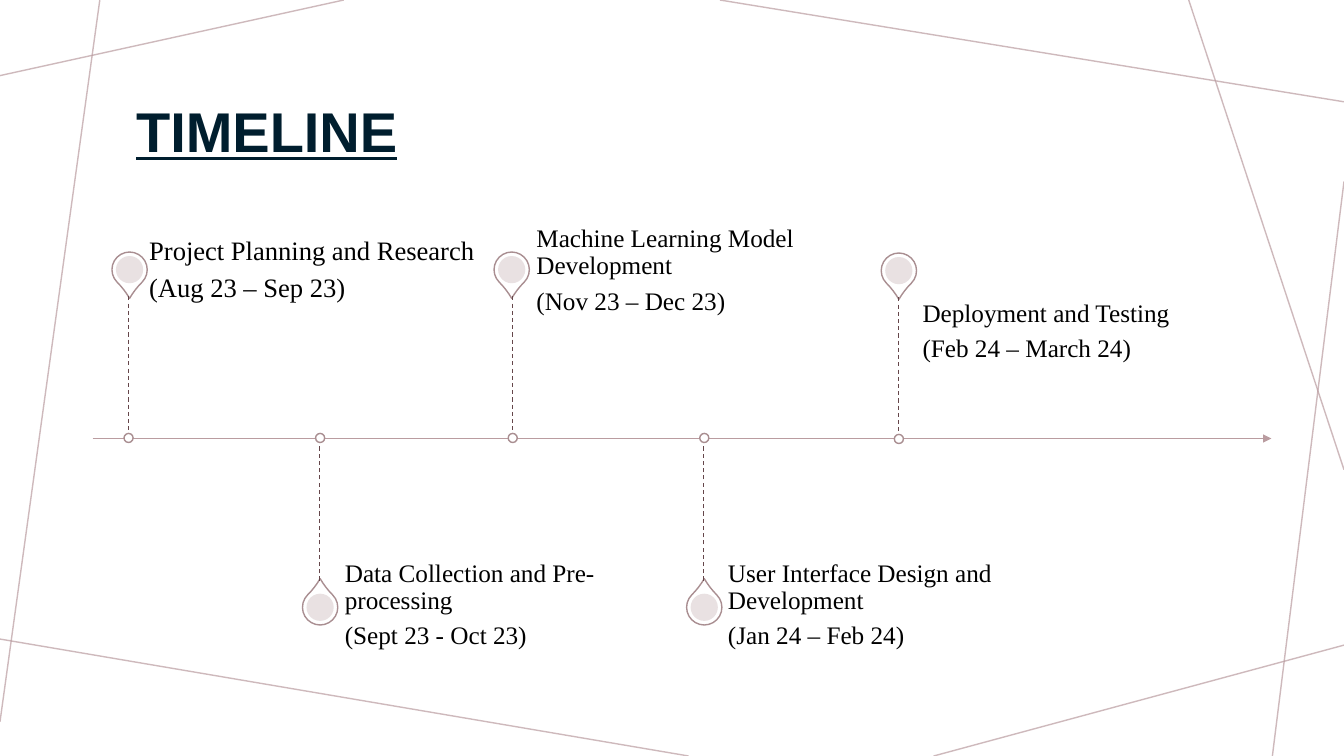
"""Build the project timeline slide."""
from lxml import etree
from pptx import Presentation
from pptx.dml.color import RGBColor
from pptx.enum.dml import MSO_LINE
from pptx.enum.shapes import MSO_CONNECTOR, MSO_SHAPE
from pptx.enum.text import MSO_ANCHOR, PP_ALIGN
from pptx.oxml.ns import qn
from pptx.util import Pt

PX = 9144
AXIS_Y = 435
STEM = 141
PIN = 35
DISC = 27
DOT = 9

RAYS = [
    (341, 0, 0, 75), (99, 0, 0, 716), (683, 750, 0, 634), (1333, 640, 926, 750),
    (1333, 180, 1262, 750), (1333, 466, 1179, 0), (1333, 101, 714, 0),
]

# stem x, axis y, pin left, above axis, label box, anchor, size, lines
MILESTONES = [
    (127, AXIS_Y, 111, True, (148, 244, 334, 49), MSO_ANCHOR.MIDDLE, 19,
     ("Project Planning and Research", "(Aug 23 – Sep 23)")),
    (317, AXIS_Y, 300, False, (342, 576, 321, 49), MSO_ANCHOR.MIDDLE, 18,
     ("Data Collection and Pre-processing", "(Sept 23 - Oct 23)")),
    (508, AXIS_Y, 490, True, (532, 244, 321, 49), MSO_ANCHOR.MIDDLE, 18,
     ("Machine Learning Model Development", "(Nov 23 – Dec 23)")),
    (698, AXIS_Y, 681, False, (722, 576, 321, 49), MSO_ANCHOR.MIDDLE, 18,
     ("User Interface Design and Development", "(Jan 24 – Feb 24)")),
    (891, AXIS_Y + 1, 874, True, (915, 298, 321, 135), MSO_ANCHOR.TOP, 18,
     ("Deployment and Testing", "(Feb 24 – March 24)")),
]


def px(*values):
    """Turn px lengths into EMU."""
    return [v * PX for v in values]


def color(hex_string):
    """Return the colour of a hex string."""
    return RGBColor.from_string(hex_string)


def set_alpha(fill, percent):
    """Set the opacity of a solid fill element."""
    etree.SubElement(fill[0], qn("a:alpha"), val=str(percent * 1000))


def add_line(s, ends, hex_string, width=1.0):
    """Draw a straight line and return it."""
    line = s.shapes.add_connector(MSO_CONNECTOR.STRAIGHT, *px(*ends))
    line.line.color.rgb = color(hex_string)
    line.line.width = Pt(width)
    etree.SubElement(line._element.spPr, qn("a:effectLst"))
    return line


def add_ray(s, ends):
    """Draw one translucent background line."""
    ray = add_line(s, ends, "BA9CA0")
    set_alpha(ray.line._ln.find(qn("a:solidFill")), 70)


def add_axis(s):
    """Draw the timeline arrow."""
    axis = add_line(s, (92, AXIS_Y, 1261, AXIS_Y), "BA9CA0")
    etree.SubElement(axis.line._ln, qn("a:tailEnd"), type="triangle")


def add_shape(s, kind, x, y, size, fill, outline=None):
    """Draw a square-framed preset shape and return it."""
    sp = s.shapes.add_shape(kind, *px(x, y, size, size))
    sp.shadow.inherit = False
    sp.fill.solid()
    sp.fill.fore_color.rgb = color(fill)
    if outline:
        sp.line.color.rgb = color(outline)
        sp.line.width = Pt(1)
    else:
        sp.line.fill.background()
    return sp


def add_pin(s, x, y, above):
    """Draw a map pin pointing at the axis."""
    pin = add_shape(s, MSO_SHAPE.TEAR, x, y, PIN, "FFFFFF", "A98E91")
    pin.adjustments[0] = 1.15
    pin.rotation = 135 if above else 315
    inset = (PIN - DISC) // 2
    disc = add_shape(s, MSO_SHAPE.OVAL, x + inset, y + inset, DISC, "E7DEDF")
    set_alpha(disc._element.spPr.find(qn("a:solidFill")), 90)


def add_run(p, text, font, size, hex_string):
    """Add a formatted run and return it."""
    r = p.add_run()
    r.text = text
    r.font.name = font
    r.font.size = Pt(size)
    r.font.color.rgb = color(hex_string)
    return r


def add_label(s, box, anchor, size, lines):
    """Write the name and the dates of a milestone."""
    tf = s.shapes.add_textbox(*px(*box)).text_frame
    tf.word_wrap = True
    tf.vertical_anchor = anchor
    tf.margin_left = tf.margin_right = tf.margin_top = tf.margin_bottom = 0
    for i, text in enumerate(lines):
        p = tf.add_paragraph() if i else tf.paragraphs[0]
        p.line_spacing = 0.9
        p.space_after = Pt(6)
        add_run(p, text, "Times New Roman", size, "000000")


def add_milestone(s, x, y, pin_x, above, box, anchor, size, lines):
    """Draw one milestone with its pin, label, stem and dot."""
    add_pin(s, pin_x, y - STEM - 44 if above else y + STEM + 9, above)
    add_label(s, box, anchor, size, lines)
    end = y - STEM if above else y + STEM
    stem = add_line(s, (x, end, x, y), "65464A", 0.75)
    stem.line.dash_style = MSO_LINE.DASH
    add_shape(s, MSO_SHAPE.OVAL, x - 4, y - 5, DOT, "FFFFFF", "A98E91")


def add_title(s, text):
    """Fill and place the title placeholder."""
    sp = s.shapes.title
    sp.left, sp.top, sp.width, sp.height = px(125, 58, 1083, 151)
    tf = sp.text_frame
    tf.vertical_anchor = MSO_ANCHOR.MIDDLE
    p = tf.paragraphs[0]
    p.alignment = PP_ALIGN.LEFT
    p.line_spacing = 0.9
    r = add_run(p, text, "Arial", 40, "001E2E")
    r.font.bold = True
    r.font.underline = True


def main():
    """Build and save the slide."""
    prs = Presentation()
    prs.slide_width, prs.slide_height = px(1333, 750)
    s = prs.slides.add_slide(prs.slide_layouts[5])
    for ends in RAYS:
        add_ray(s, ends)
    add_axis(s)
    for milestone in MILESTONES:
        add_milestone(s, *milestone)
    add_title(s, "TIMELINE")
    prs.save("out.pptx")


if __name__ == "__main__":
    main()
